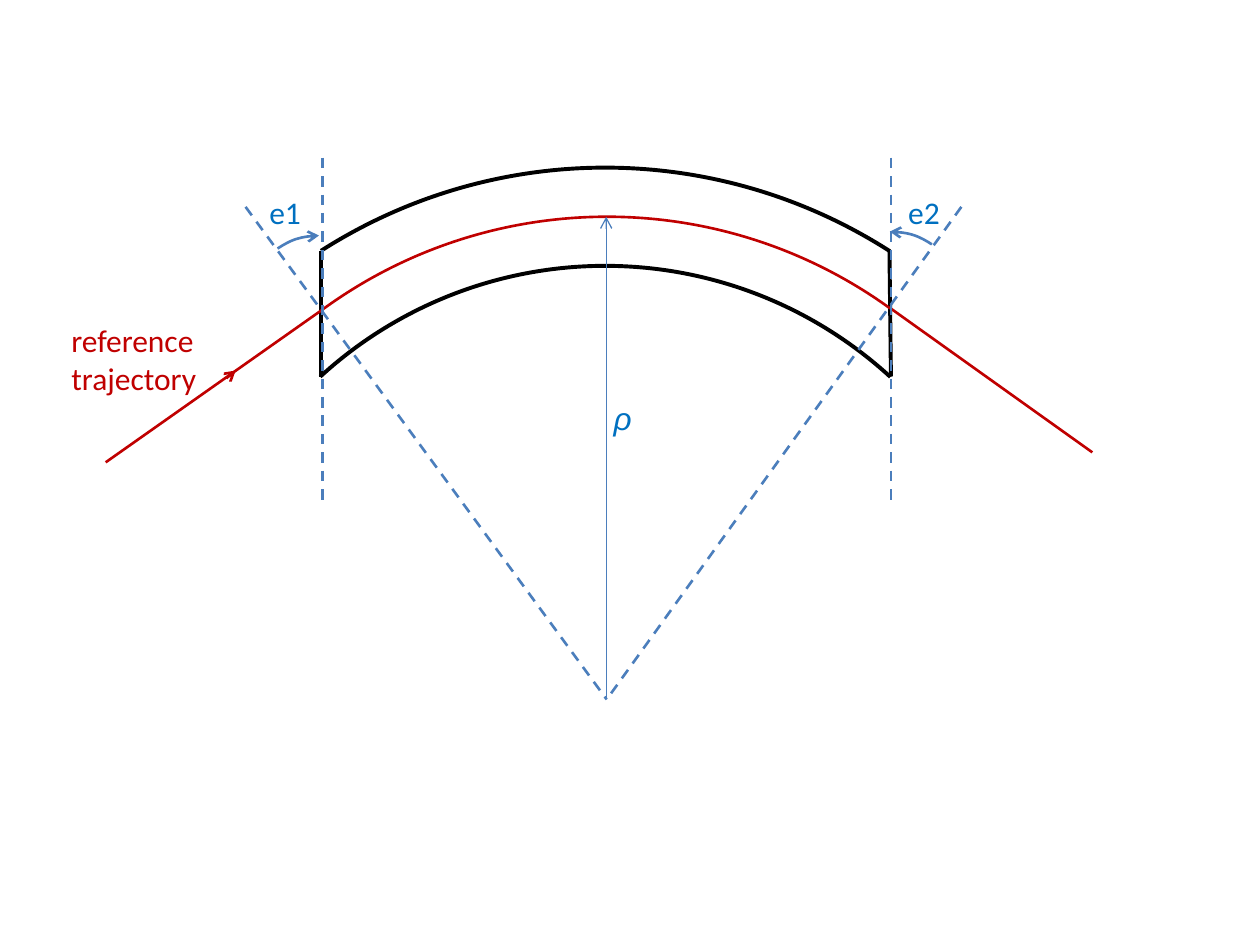
from lxml import etree
from pptx import Presentation
from pptx.dml.color import RGBColor
from pptx.enum.dml import MSO_LINE
from pptx.enum.shapes import MSO_CONNECTOR, MSO_SHAPE
from pptx.enum.text import MSO_AUTO_SIZE
from pptx.oxml.ns import qn
from pptx.util import Cm, Pt

ARC = MSO_SHAPE.ARC
STRAIGHT = MSO_CONNECTOR.STRAIGHT
DASH = MSO_LINE.DASH
FIT_SHAPE = MSO_AUTO_SIZE.SHAPE_TO_FIT_TEXT

BLACK = RGBColor(0x00, 0x00, 0x00)
RED = RGBColor(0xC0, 0x00, 0x00)
BLUE = RGBColor(0x4B, 0x7E, 0xBC)
LABEL_BLUE = RGBColor(0x00, 0x70, 0xC0)

ADJUSTMENT_PER_DEGREE = 0.6
BLANK_LAYOUT = 6


def style_line(line, color, width, dash=None, arrow=None):
    """Format a line; arrow is "headEnd" (start) or "tailEnd" (finish)."""
    line.color.rgb = color
    line.width = Pt(width)
    if dash:
        line.dash_style = dash
    if arrow:
        line_xml = line.fill._xPr
        etree.SubElement(line_xml, qn("a:" + arrow), type="arrow")


def add_line(shapes, start, end, color, width=1.5, dash=None, arrow=None):
    """Draw a straight line between two points given in cm."""
    points = [Cm(value) for value in (*start, *end)]
    connector = shapes.add_connector(STRAIGHT, *points)
    style_line(connector.line, color, width, dash, arrow)
    etree.SubElement(connector._element.spPr, qn("a:effectLst"))


def add_arc(shapes, center, radius, angles, color, width=1.5, arrow=None):
    """Draw a circular arc, clockwise between two angles in degrees."""
    x, y = center
    shape = shapes.add_shape(ARC, Cm(x - radius), Cm(y - radius),
                             Cm(2 * radius), Cm(2 * radius))
    for index, angle in enumerate(angles):
        shape.adjustments[index] = angle * ADJUSTMENT_PER_DEGREE
    shape.fill.background()
    shape.shadow.inherit = False
    style_line(shape.line, color, width, arrow=arrow)


def add_text(shapes, text, left, top, width, height=1.02, color=LABEL_BLUE,
             font="Calibri", size=18, italic=False):
    """Add an unwrapped text label, placed in cm."""
    box = shapes.add_textbox(Cm(left), Cm(top), Cm(width), Cm(height))
    frame = box.text_frame
    frame.word_wrap = False
    frame.auto_size = FIT_SHAPE
    paragraph = frame.paragraphs[0]
    paragraph.text = text
    for run in paragraph.runs:
        run.font.name = font
        run.font.size = Pt(size)
        run.font.italic = italic
        run.font.color.rgb = color


def add_magnet(shapes):
    """Draw the outline of the bending magnet."""
    add_arc(shapes, (12.2, 14), 10.62, (237.36, 302.73), BLACK, 2.25)
    add_line(shapes, (6.48, 7.59), (6.48, 5.05), BLACK, 2.25)
    add_arc(shapes, (12.2, 13.86), 8.5, (227.49, 312.57), BLACK, 2.25)
    add_line(shapes, (17.96, 7.59), (17.93, 5.05), BLACK, 2.25)


def add_trajectory(shapes):
    """Draw the curved path with its straight ends as one group."""
    group = shapes.add_group_shape()
    add_arc(group.shapes, (12.24, 14.1), 9.73, (234.05, 305.86), RED)
    add_line(group.shapes, (6.53, 6.22), (2.13, 9.32), RED)
    add_line(group.shapes, (17.93, 6.2), (22.02, 9.12), RED)


def add_guides(shapes):
    """Draw the dashed radii and pole face lines."""
    for x in (4.95, 19.38):
        add_line(shapes, (x, 4.17), (12.23, 14.1), BLUE, dash=DASH)
    for x in (6.5, 17.96):
        add_line(shapes, (x, 3.18), (x, 10.11), BLUE, dash=DASH)


def add_edge_angles(shapes):
    """Draw and label the entrance and exit angles."""
    add_arc(shapes, (6.44, 6.24), 1.49, (235.51, 269.66), BLUE, arrow="tailEnd")
    add_arc(shapes, (17.95, 6.16), 1.49, (269.55, 304.16), BLUE, arrow="headEnd")
    for text, left in (("e1", 5.18), ("e2", 18.06)):
        add_text(shapes, text, left, 3.76, 1.17)


def main():
    """Build the bending magnet diagram."""
    presentation = Presentation()
    presentation.slide_width = Cm(25.4)
    presentation.slide_height = Cm(19.05)
    slide = presentation.slides.add_slide(presentation.slide_layouts[BLANK_LAYOUT])
    shapes = slide.shapes

    add_magnet(shapes)
    add_trajectory(shapes)
    add_guides(shapes)
    add_edge_angles(shapes)
    add_line(shapes, (4.57, 7.62), (4.75, 7.47), RED, arrow="tailEnd")
    add_text(shapes, "ρ", 12.12, 7.92, 0.86, font="Arial", italic=True)
    add_line(shapes, (12.22, 14.1), (12.22, 4.37), BLUE, 0.75, arrow="tailEnd")
    add_text(shapes, "reference\vtrajectory", 1.19, 6.35, 3.12, 1.8, color=RED)

    presentation.save("out.pptx")


main()
